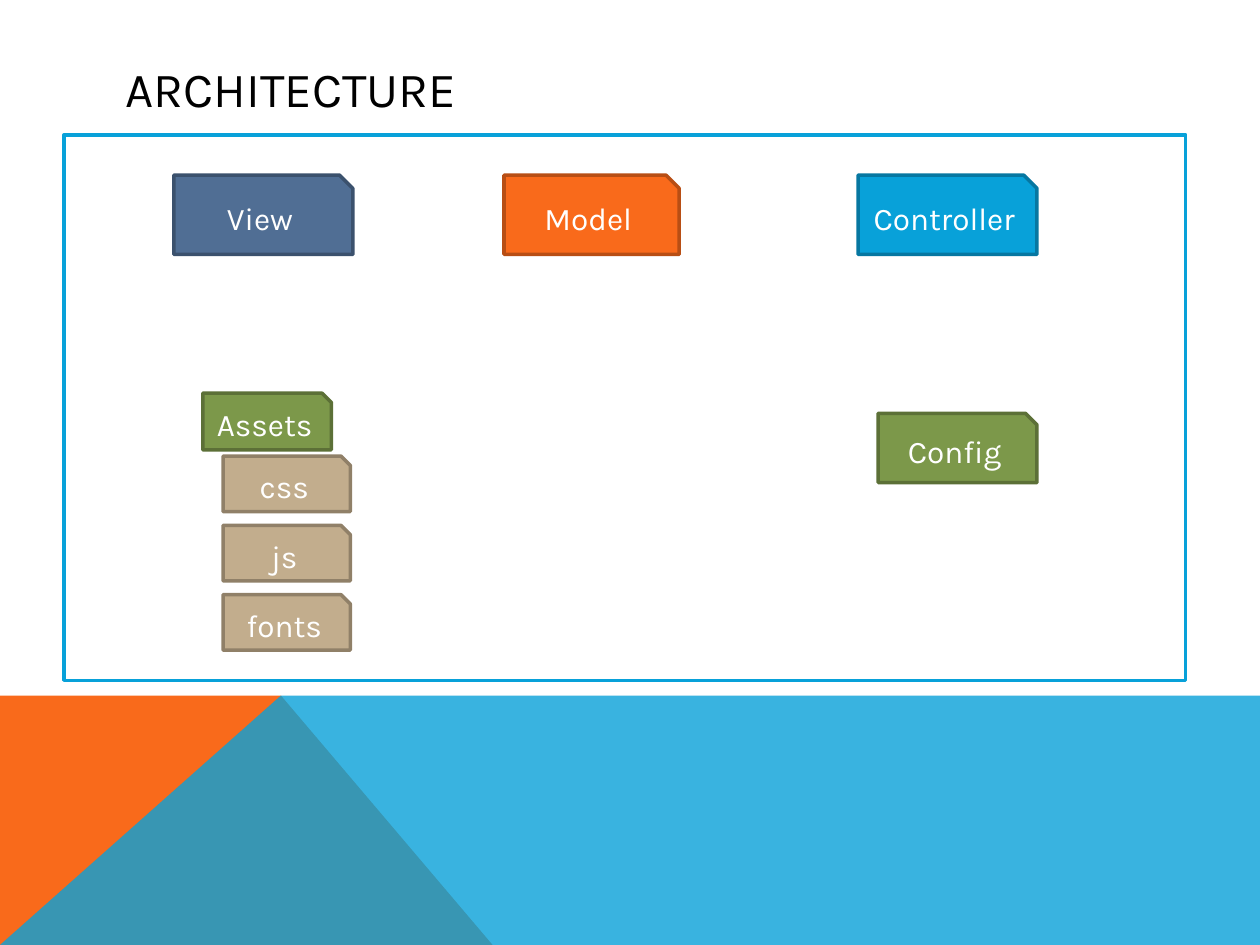
from lxml import etree
from pptx import Presentation
from pptx.dml.color import RGBColor
from pptx.enum.shapes import MSO_SHAPE
from pptx.enum.text import MSO_ANCHOR, PP_ALIGN
from pptx.oxml.ns import qn
from pptx.util import Inches, Pt

RECTANGLE = MSO_SHAPE.RECTANGLE
SNIPPED = MSO_SHAPE.SNIP_1_RECTANGLE
MIDDLE = MSO_ANCHOR.MIDDLE
LEFT, CENTER = PP_ALIGN.LEFT, PP_ALIGN.CENTER

COLUMNS, ROWS = 100, 75
WIDTH, HEIGHT = Inches(10), Inches(7.5)
BAND_TOP, PEAK = 55.2, 22.3
COLORS = {
    "black": "000000", "white": "FFFFFF",
    "navy": "506E94", "navy edge": "3B516D",
    "orange": "F96A1B", "orange edge": "B84E14",
    "blue": "08A1D9", "blue edge": "0677A1",
    "green": "7C984A", "green edge": "5C7037",
    "tan": "C2AD8D", "tan edge": "908068",
}
MAIN_ROW, MAIN_HEIGHT = 13.9, 6.3
COMPONENTS = [
    ("View", "navy", 13.8, MAIN_ROW, 14.2, MAIN_HEIGHT),
    ("Model", "orange", 40, MAIN_ROW, 13.9, MAIN_HEIGHT),
    ("Controller", "blue", 68.1, MAIN_ROW, 14.2, MAIN_HEIGHT),
    ("Config", "green", 69.7, 32.8, 12.6, 5.5),
    ("Assets", "green", 16.1, 31.2, 10.2, 4.5),
]
ASSET_FOLDERS = ["css", "js", "fonts"]
FOLDER_ROW, FOLDER_STEP = 36.2, 5.5


def grid(column, row):
    """Turn a grid position into slide lengths."""
    return round(WIDTH * column / COLUMNS), round(HEIGHT * row / ROWS)


def rgb(name):
    """Look up a named colour."""
    return RGBColor.from_string(COLORS[name])


def fill_solid(shape, color):
    """Give a shape a plain fill and no shadow."""
    shape.shadow.inherit = False
    shape.fill.solid()
    shape.fill.fore_color.rgb = rgb(color)


def write_text(shape, text, size, color, alignment):
    """Write one vertically centred line into a shape."""
    frame = shape.text_frame
    frame.word_wrap = True
    frame.vertical_anchor = MIDDLE
    paragraph = frame.paragraphs[0]
    paragraph.text = text
    paragraph.alignment = alignment
    for name, value in {"name": "Karla", "size": Pt(size)}.items():
        setattr(paragraph.font, name, value)
    paragraph.font.color.rgb = rgb(color)


def add_band(slide, corners, color, opacity=100):
    """Draw a borderless polygon through grid corners."""
    points = [grid(*corner) for corner in corners]
    builder = slide.shapes.build_freeform(*points[0])
    builder.add_line_segments(points[1:], close=True)
    shape = builder.convert_to_shape()
    fill_solid(shape, color)
    shape.line.fill.background()
    if opacity < 100:
        color_element = shape.fill._xPr.find(qn("a:solidFill"))[0]
        etree.SubElement(color_element, qn("a:alpha"), val=str(opacity * 1000))


def add_box(slide, kind, fill, edge, column, row, columns, rows):
    """Draw an outlined box on the grid."""
    shape = slide.shapes.add_shape(kind, *grid(column, row), *grid(columns, rows))
    fill_solid(shape, fill)
    shape.line.color.rgb = rgb(edge)
    shape.line.width = Pt(2)
    return shape


def add_component(slide, label, color, *cell):
    """Draw a labelled box with a snipped corner."""
    shape = add_box(slide, SNIPPED, color, f"{color} edge", *cell)
    write_text(shape, label, 18, "white", CENTER)


def add_title(slide, text):
    """Write the slide title."""
    box = slide.shapes.add_textbox(*grid(9, 4), *grid(82.2, 6))
    write_text(box, text, 28, "black", LEFT)


def main():
    """Build and save the architecture slide."""
    presentation = Presentation()
    presentation.slide_width, presentation.slide_height = WIDTH, HEIGHT
    slide = presentation.slides.add_slide(presentation.slide_layouts[6])
    add_band(slide, [(0, ROWS), (0, BAND_TOP), (PEAK, BAND_TOP), (39.1, ROWS)], "orange")
    add_band(slide, [(0, ROWS), (PEAK, BAND_TOP), (COLUMNS, BAND_TOP), (COLUMNS, ROWS)],
             "blue", opacity=80)
    add_title(slide, "ARCHITECTURE")
    add_box(slide, RECTANGLE, "white", "blue", 5.1, 10.7, 89, 43.3)
    for component in COMPONENTS:
        add_component(slide, *component)
    for index, folder in enumerate(ASSET_FOLDERS):
        add_component(slide, folder, "tan", 17.7, FOLDER_ROW + index * FOLDER_STEP, 10.1, 4.4)
    presentation.save("out.pptx")


if __name__ == "__main__":
    main()
